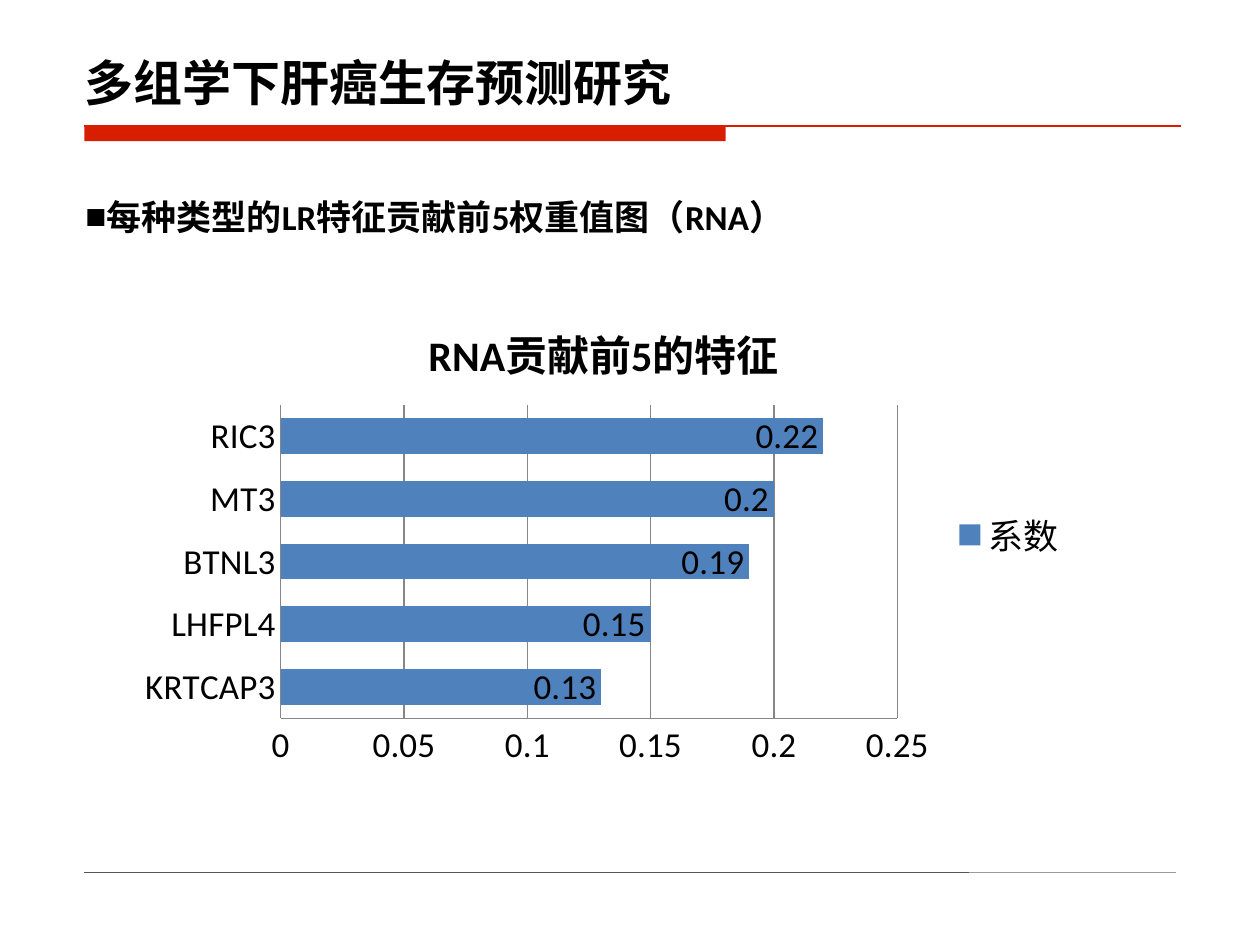
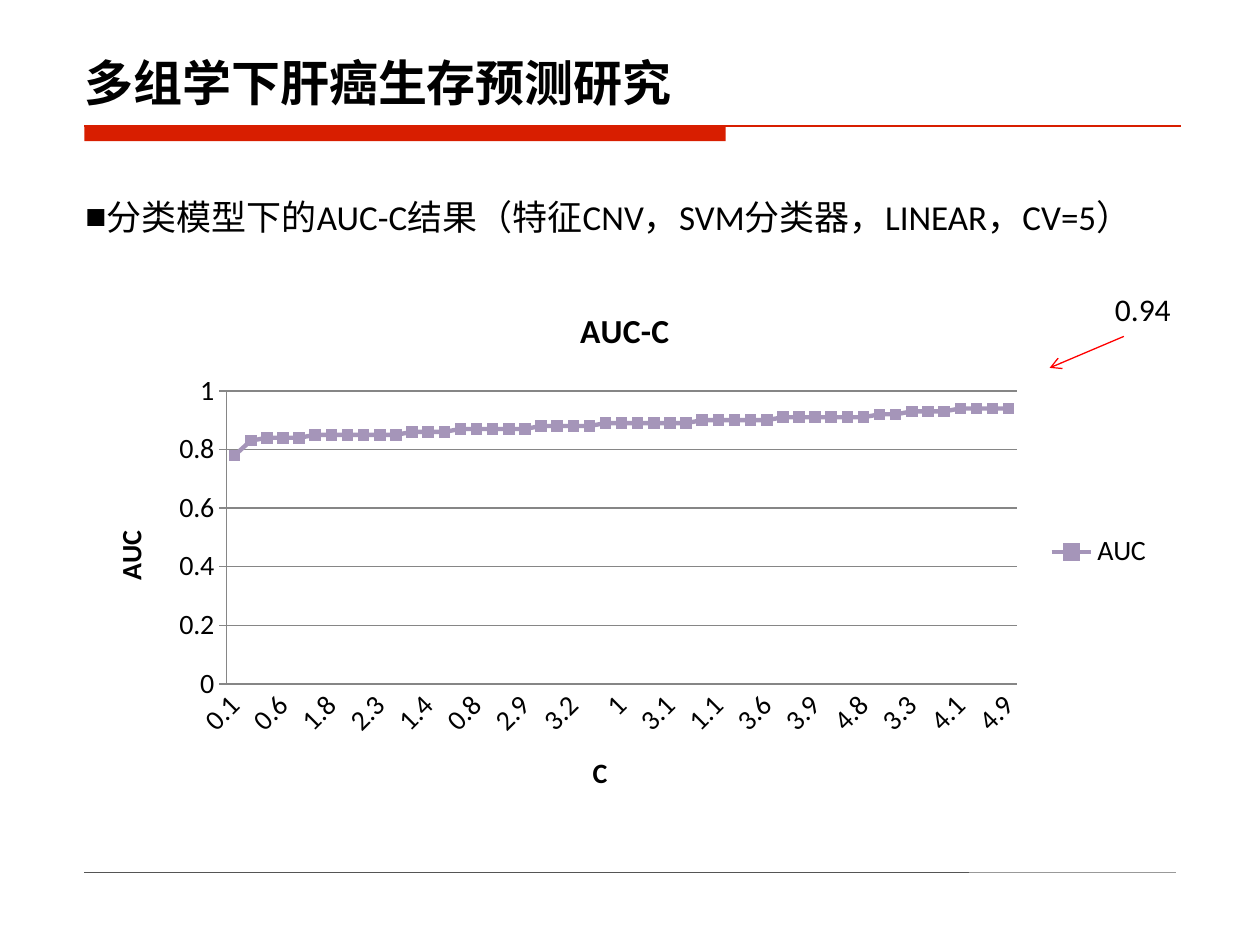
from lxml import etree
from pptx import Presentation
from pptx.chart.data import CategoryChartData
from pptx.dml.color import RGBColor
from pptx.enum.chart import (XL_CHART_TYPE, XL_LABEL_POSITION, XL_LEGEND_POSITION,
                             XL_MARKER_STYLE, XL_TICK_MARK)
from pptx.enum.shapes import MSO_CONNECTOR, MSO_SHAPE
from pptx.enum.text import MSO_ANCHOR, PP_ALIGN
from pptx.oxml.ns import qn
from pptx.util import Inches, Pt

BAR, LINE = XL_CHART_TYPE.BAR_CLUSTERED, XL_CHART_TYPE.LINE_MARKERS
RIGHT = XL_LEGEND_POSITION.RIGHT
INSIDE_END = XL_LABEL_POSITION.INSIDE_END
SQUARE = XL_MARKER_STYLE.SQUARE
NO_TICK, CROSS = XL_TICK_MARK.NONE, XL_TICK_MARK.CROSS
STRAIGHT = MSO_CONNECTOR.STRAIGHT
RECTANGLE = MSO_SHAPE.RECTANGLE
TOP, LEFT = MSO_ANCHOR.TOP, PP_ALIGN.LEFT

FONT = "Calibri"
BLACK, RED, ARROW_RED = "000000", "D81E00", "FF0000"
BLUE, LILAC, GRID = "4F81BD", "A595B9", "868686"
FOOT_DARK, FOOT_LIGHT = "555555", "999999"
TITLE = "多组学下肝癌生存预测研究"

GENES = {"KRTCAP3": 0.13, "LHFPL4": 0.15, "BTNL3": 0.19, "MT3": 0.2, "RIC3": 0.22}
C_BY_AUC = {
    0.78: "0.1",
    0.83: "0.2",
    0.84: "0.5 0.6 1.9",
    0.85: "1.7 1.8 2.1 2.2 2.3 2.6",
    0.86: "0.4 1.4 2",
    0.87: "0.3 0.8 1.6 2.5 2.9",
    0.88: "1.5 2.7 3.2 4.3",
    0.89: "0.9 1 1.2 1.3 3.1 3.4",
    0.9: "0.7 1.1 2.4 3 3.6",
    0.91: "3.5 3.7 3.9 4 4.7 4.8",
    0.92: "2.8 4.5",
    0.93: "3.3 3.8 4.6",
    0.94: "4.1 4.2 4.4 4.9",
}


def rgb(value):
    return RGBColor.from_string(value)


def style_font(font, size, bold=False, color=BLACK):
    font.name = FONT
    font.size = Pt(size)
    font.bold = bold
    font.color.rgb = rgb(color)


def write(tf, text, size=20, bold=False, bullet=None):
    p = tf.paragraphs[0]
    if bullet:
        pPr = p._p.get_or_add_pPr()
        pPr.set("marL", "0")
        pPr.set("indent", "0")
        etree.SubElement(pPr, qn("a:buFont")).set("typeface", "Arial")
        etree.SubElement(pPr, qn("a:buChar")).set("char", bullet)
    r = p.add_run()
    r.text = text
    style_font(r.font, size, bold)
    return p


class Deck:
    def __init__(self):
        self.prs = Presentation()
        self.prs.slide_width = Inches(10)
        self.prs.slide_height = Inches(7.5)
        self.s = None

    def slide(self, title):
        self.s = self.prs.slides.add_slide(self.prs.slide_layouts[5])
        self.band(0.67, 1, 5.09, 0.12)
        self.line(0.67, 1, 9.37, 1, RED)
        self.line(0.67, 6.92, 7.69, 6.92, FOOT_DARK, 0.33)
        self.line(7.69, 6.92, 9.33, 6.92, FOOT_LIGHT, 0.33)
        sp = self.s.shapes.title
        sp.left, sp.top, sp.width, sp.height = map(Inches, (0.67, 0.42, 8.67, 0.76))
        tf = sp.text_frame
        tf.margin_left = tf.margin_right = tf.margin_top = tf.margin_bottom = 0
        tf.vertical_anchor = TOP
        write(tf, title, size=28, bold=True).alignment = LEFT

    def band(self, x, y, w, h):
        sp = self.s.shapes.add_shape(RECTANGLE, Inches(x), Inches(y), Inches(w), Inches(h))
        sp.shadow.inherit = False
        sp.fill.solid()
        sp.fill.fore_color.rgb = rgb(RED)
        sp.line.fill.background()

    def line(self, x1, y1, x2, y2, color, width=0.75, arrow=False):
        sp = self.s.shapes.add_connector(STRAIGHT, Inches(x1), Inches(y1),
                                         Inches(x2), Inches(y2))
        sp.line.color.rgb = rgb(color)
        sp.line.width = Pt(width)
        if arrow:
            etree.SubElement(sp.line._get_or_add_ln(), qn("a:tailEnd")).set("type", "arrow")
        etree.SubElement(sp._element.spPr, qn("a:effectLst"))

    def text(self, x, y, w, h, text, **fmt):
        sp = self.s.shapes.add_textbox(Inches(x), Inches(y), Inches(w), Inches(h))
        sp.text_frame.word_wrap = True
        write(sp.text_frame, text, **fmt)

    def chart(self, kind, x, y, w, h, title, name, cats, vals, size):
        data = CategoryChartData()
        data.categories = cats
        data.add_series(name, vals)
        chart = self.s.shapes.add_chart(kind, Inches(x), Inches(y), Inches(w),
                                        Inches(h), data).chart
        style_font(chart.font, size)
        chart.has_title = True
        write(chart.chart_title.text_frame, title, size=size * 1.2, bold=True)
        chart.chart_title.include_in_layout = False
        chart.has_legend = True
        chart.legend.position = RIGHT
        chart.legend.include_in_layout = False
        style_font(chart.legend.font, size)
        for axis in (chart.category_axis, chart.value_axis):
            axis.major_tick_mark = axis.minor_tick_mark = NO_TICK
            axis.format.line.color.rgb = rgb(GRID)
            style_font(axis.tick_labels.font, size)
        chart.category_axis.has_major_gridlines = False
        chart.value_axis.has_major_gridlines = True
        chart.value_axis.major_gridlines.format.line.color.rgb = rgb(GRID)
        chart.plots[0].vary_by_categories = False
        return chart

    def bar_chart(self, *args, size):
        chart = self.chart(BAR, *args, size)
        chart.value_axis.maximum_scale = 0.25
        chart.value_axis.major_unit = 0.05
        plot = chart.plots[0]
        plot.gap_width = 75
        plot.overlap = 40
        fill = plot.series[0].format.fill
        fill.solid()
        fill.fore_color.rgb = rgb(BLUE)
        plot.has_data_labels = True
        labels = plot.data_labels
        labels.show_value = True
        labels.position = INSIDE_END
        style_font(labels.font, size)

    def line_chart(self, *args, size, axis_titles):
        chart = self.chart(LINE, *args, size)
        axes = chart.category_axis, chart.value_axis
        for axis, title in zip(axes, axis_titles):
            axis.has_title = True
            write(axis.axis_title.text_frame, title, size=size, bold=True)
        cat_axis, val_axis = axes
        cat_axis._element.find(qn("c:txPr")).find(qn("a:bodyPr")).set("rot", "-2700000")
        val_axis.major_tick_mark = CROSS
        val_axis.minimum_scale, val_axis.maximum_scale = 0, 1
        val_axis.major_unit = 0.2
        series = chart.plots[0].series[0]
        series.smooth = False
        series.format.line.color.rgb = rgb(LILAC)
        series.format.line.width = Pt(2.5)
        marker = series.marker
        marker.style = SQUARE
        marker.size = 6
        marker.format.fill.solid()
        marker.format.fill.fore_color.rgb = rgb(LILAC)
        marker.format.line.color.rgb = rgb(LILAC)


def main():
    deck = Deck()

    deck.slide(TITLE)
    deck.text(0.58, 1.5, 6.75, 0.44, "每种类型的LR特征贡献前5权重值图（RNA）",
              bold=True, bullet="■")
    deck.bar_chart(1, 2.33, 7.58, 3.83, "RNA贡献前5的特征", "系数",
                   list(GENES), list(GENES.values()), size=20)

    deck.slide(TITLE)
    deck.text(0.58, 1.5, 8.67, 0.44,
              "分类模型下的AUC-C结果（特征CNV，SVM分类器，LINEAR，CV=5）", bullet="■")
    points = [(c, auc) for auc, cs in C_BY_AUC.items() for c in cs.split()]
    cats, aucs = zip(*points)
    deck.line_chart(0.67, 2.25, 8.58, 4.26, "AUC-C", "AUC", cats, aucs,
                    size=16, axis_titles=("C", "AUC"))
    deck.line(8.92, 2.67, 8.33, 2.92, ARROW_RED, arrow=True)
    deck.text(8.75, 2.25, 0.92, 0.4, "0.94", size=18)

    deck.prs.save("out.pptx")


if __name__ == "__main__":
    main()
